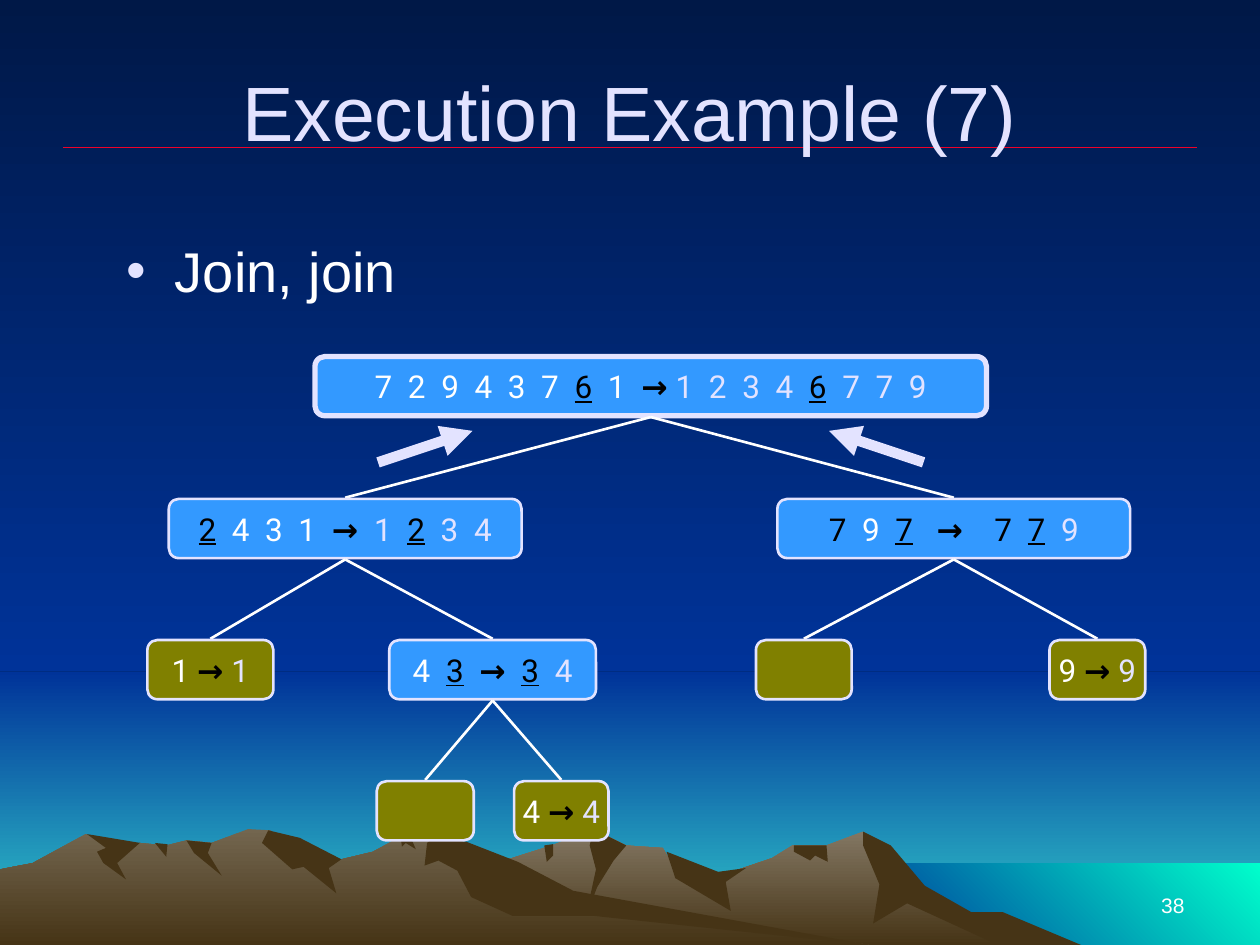
from collections import namedtuple
from itertools import groupby
from lxml.etree import SubElement
from pptx import Presentation
from pptx.dml.color import RGBColor
from pptx.enum.shapes import MSO_CONNECTOR, MSO_SHAPE
from pptx.enum.text import MSO_ANCHOR, PP_ALIGN
from pptx.oxml.ns import qn
from pptx.util import Cm, Pt

COLORS = {
    "night": "001847", "blue": "003399", "teal": "33CCCC", "aqua": "00FFCC",
    "peak": "847864", "ridge": "73664F", "earth": "463416", "red": "EF0129",
    "white": "FFFFFF", "lavender": "E3E3FF", "black": "000000",
    "box": "3399FF", "olive": "808000",
}

SLIDE_W, SLIDE_H = 10, 7.5
HORIZON = 5.33
DOWN, UP_RIGHT = 270, 45

FAR_CREST = [
    (2.58, 7.5), (2.77, 7.39), (3.27, 7.09), (3.94, 6.85), (4.38, 6.71), (4.71, 6.58), (4.97, 6.71),
    (5.26, 6.73), (5.36, 6.9), (5.66, 6.97), (6.13, 6.81), (6.29, 6.71), (6.56, 6.71), (6.85, 6.6),
    (7.02, 6.71), (7.23, 6.98), (7.64, 7.23), (8.21, 7.5),
]
NEAR_CREST = [
    (0, 7.5), (0, 6.9), (0.26, 6.85), (0.68, 6.62), (0.94, 6.71), (1.11, 6.69), (1.32, 6.71),
    (1.48, 6.67), (1.68, 6.69), (1.97, 6.58), (2.15, 6.59), (2.36, 6.81), (2.71, 6.82), (2.96, 6.76),
    (3.18, 6.64), (3.27, 6.68), (3.54, 6.65), (4.32, 7.12), (6.9, 7.5),
]
FAR_SHADES = {
    "right slope": [(6.85, 6.6), (7.07, 6.71), (7.34, 7.03), (7.71, 7.24), (7.96, 7.24), (8.58, 7.5),
                    (7.92, 7.5), (7.2, 7.17), (6.93, 7.33), (6.98, 7.02), (6.85, 6.71)],
    "middle gully": [(4.71, 6.58), (4.97, 6.71), (4.87, 6.83), (4.74, 7.04), (4.65, 7.27),
                     (4.73, 6.9), (4.68, 6.71)],
    "middle slope": [(5.29, 6.76), (5.7, 6.92), (5.92, 6.89), (5.76, 7), (5.8, 7.23), (5.36, 6.97)],
    "saddle": [(6.3, 6.71), (6.56, 6.71), (6.57, 6.84), (6.47, 6.79), (6.43, 6.83), (6.3, 6.76)],
    "notch": [(4.32, 6.71), (4.39, 6.7), (4.39, 6.79), (4.34, 6.84)],
}
NEAR_SHADES = {
    "left slope": [(0.69, 6.62), (1.11, 6.69), (0.93, 6.85), (1, 6.98), (0.82, 6.85), (0.77, 6.76),
                   (0.84, 6.73)],
    "small gully": [(1.23, 6.69), (1.33, 6.7), (1.32, 6.8)],
    "gully": [(1.48, 6.67), (1.68, 6.69), (1.65, 6.77), (1.76, 6.95), (1.54, 6.77)],
    "summit": [(2.13, 6.59), (2.38, 6.65), (2.71, 6.82), (2.61, 6.89), (2.67, 7.09), (2.41, 6.88),
               (2.32, 6.9), (2.08, 6.69)],
    "notch": [(3.18, 6.64), (3.27, 6.67), (3.3, 6.74), (3.22, 6.69), (3.19, 6.72)],
    "long slope": [(3.39, 6.69), (3.44, 6.65), (3.7, 6.68), (4.11, 6.84), (4.55, 7.07), (6.9, 7.5),
                   (4.72, 7.27), (4.07, 7.27), (3.74, 7.12), (3.63, 6.91), (3.48, 6.83), (3.37, 6.87)],
}

LEVEL_TOPS = [2.83, 3.96, 5.08, 6.2]
BOX_H = 0.47
EDGE_GAP = 0.01
STYLES = {
    "w": {"color": "white"},
    "s": {"color": "lavender"},
    "m": {"color": "black"},
    "p": {"color": "black", "underline": True},
    ">": {"color": "black", "bold": True},
}
Node = namedtuple("Node", "parent level x w text styles", defaults=("", ""))
TREE = {
    "root": Node(None, 0, 2.5, 5.33, "7  2  9  4  3  7  6  1  → 1  2  3  4  6  7  7  9", "wwwwwwpw>sssspsss"),
    "left": Node("root", 1, 1.34, 2.8, "2  4  3  1  →  1  2  3  4", "pwww>spss"),
    "right": Node("root", 1, 6.17, 2.8, "7  9  7   →    7  7  9", "mwp>mps"),
    "left low": Node("left", 2, 1.17, 1, "1 → 1", "w>s"),
    "left high": Node("left", 2, 3.09, 1.64, "4  3  →  3  4", "wp>ps"),
    "right low": Node("right", 2, 6, 0.76),
    "right high": Node("right", 2, 8.33, 0.76, "9 → 9", "w>s"),
    "inner low": Node("left high", 3, 2.99, 0.77),
    "inner high": Node("left high", 3, 4.08, 0.75, "4 → 4", "w>s"),
}


def inch(v):
    return Cm(v * 2.54)


def rgb(name):
    return RGBColor.from_string(COLORS[name])


def add_run(p, text, color="white", size=18, font="Roboto", bold=False, underline=False):
    r = p.add_run()
    r.text = text
    r.font.name, r.font.size = font, Pt(size)
    r.font.bold, r.font.underline = bold, underline
    r.font.color.rgb = rgb(color)


def add_styled_digits(p, text, styles):
    style = iter(styles)
    for is_gap, chars in groupby(text, str.isspace):
        add_run(p, "".join(chars), **STYLES["w" if is_gap else next(style)])


class Deck:
    def __init__(self):
        self.prs = Presentation()
        self.prs.slide_width, self.prs.slide_height = inch(SLIDE_W), inch(SLIDE_H)
        self.s = self.prs.slides.add_slide(self.prs.slide_layouts[6])

    def paint(self, fill, names, angle=DOWN):
        if len(names) == 1:
            fill.solid()
            fill.fore_color.rgb = rgb(names[0])
            return
        fill.gradient()
        fill.gradient_angle = angle
        for i, name in enumerate(names):
            fill.gradient_stops[i].color.rgb = rgb(name)
            fill.gradient_stops[i].position = i

    def finish(self, sp, names, angle=DOWN):
        sp.shadow.inherit = False
        sp.line.fill.background()
        self.paint(sp.fill, names, angle)

    def area(self, x, y, right, bottom, *names, angle=DOWN):
        box = [inch(v) for v in (x, y, right - x, bottom - y)]
        self.finish(self.s.shapes.add_shape(MSO_SHAPE.RECTANGLE, *box), names, angle)

    def outline(self, points, *names):
        start, *rest = [(inch(x), inch(y)) for x, y in points]
        fb = self.s.shapes.build_freeform(*start)
        fb.add_line_segments(rest, close=True)
        self.finish(fb.convert_to_shape(), names)

    def mountains(self, crest, shades, top_color):
        self.outline(crest, top_color, "earth")
        for points in shades.values():
            self.outline(points, "earth")

    def line(self, start, end, color="white", width=1.5, arrow=False):
        ends = [inch(v) for v in (*start, *end)]
        cx = self.s.shapes.add_connector(MSO_CONNECTOR.STRAIGHT, *ends)
        cx.line.color.rgb, cx.line.width = rgb(color), Pt(width)
        if arrow:
            SubElement(cx.line._get_or_add_ln(), qn("a:tailEnd"), type="triangle")
        SubElement(cx._element.spPr, qn("a:effectLst"))

    def text(self, x, y, w, h, text, align=PP_ALIGN.LEFT, anchor=MSO_ANCHOR.TOP, bullet=False, **fmt):
        tf = self.s.shapes.add_textbox(inch(x), inch(y), inch(w), inch(h)).text_frame
        tf.word_wrap, tf.vertical_anchor = True, anchor
        p = tf.paragraphs[0]
        p.alignment = align
        add_run(p, text, font="Arial", **fmt)
        if bullet:
            p.space_before = Pt(6.4)
            pPr = p._p.get_or_add_pPr()
            pPr.set("marL", str(inch(0.38)))
            pPr.set("indent", str(-inch(0.38)))
            clr = SubElement(pPr, qn("a:buClr"))
            SubElement(clr, qn("a:srgbClr"), val=COLORS["lavender"])
            SubElement(pPr, qn("a:buFont"), typeface="Arial")
            SubElement(pPr, qn("a:buChar"), char="•")

    def node(self, node, fill, border):
        box = [inch(v) for v in (node.x, LEVEL_TOPS[node.level], node.w, BOX_H)]
        sp = self.s.shapes.add_shape(MSO_SHAPE.ROUNDED_RECTANGLE, *box)
        self.finish(sp, [fill])
        sp.adjustments[0] = 0.167
        sp.line.color.rgb, sp.line.width = rgb("lavender"), Pt(border)
        tf = sp.text_frame
        tf.word_wrap, tf.vertical_anchor = False, MSO_ANCHOR.MIDDLE
        tf.paragraphs[0].alignment = PP_ALIGN.CENTER
        add_styled_digits(tf.paragraphs[0], node.text, node.styles)

    def edge(self, parent, child):
        self.line((parent.x + parent.w / 2, LEVEL_TOPS[parent.level] + BOX_H + EDGE_GAP),
                  (child.x + child.w / 2, LEVEL_TOPS[child.level] - EDGE_GAP))

    def tree(self, nodes):
        parents = {n.parent for n in nodes.values()}
        for name, n in nodes.items():
            if n.parent:
                self.edge(nodes[n.parent], n)
            self.node(n, "box" if name in parents else "olive", 1.5 if n.parent else 3)


def main():
    d = Deck()
    d.paint(d.s.background.fill, ["night", "blue"])
    d.area(0, HORIZON, SLIDE_W, SLIDE_H, "blue", "teal")
    d.area(0, 0, SLIDE_W, HORIZON, "night", "blue")
    d.area(6.83, 6.85, SLIDE_W, SLIDE_H, "blue", "aqua", angle=UP_RIGHT)
    d.mountains(FAR_CREST, FAR_SHADES, "peak")
    d.mountains(NEAR_CREST, NEAR_SHADES, "ridge")

    d.line((0.5, 1.17), (9.5, 1.17), "red", 1)
    d.text(7.17, 6.83, 2.33, 0.5, "38", PP_ALIGN.RIGHT, MSO_ANCHOR.BOTTOM, size=12)
    d.text(0.5, 0.25, 9, 1.25, "Execution Example (7)", PP_ALIGN.CENTER, MSO_ANCHOR.MIDDLE,
           size=44, color="lavender")
    d.text(0.91, 1.83, 8.5, 0.75, "Join, join", bullet=True, size=32)

    d.tree(TREE)
    for tail, head in ((3, 3.75), (7.33, 6.58)):
        d.line((tail, 3.67), (head, 3.42), "lavender", 6, arrow=True)
    d.prs.save("out.pptx")


if __name__ == "__main__":
    main()
